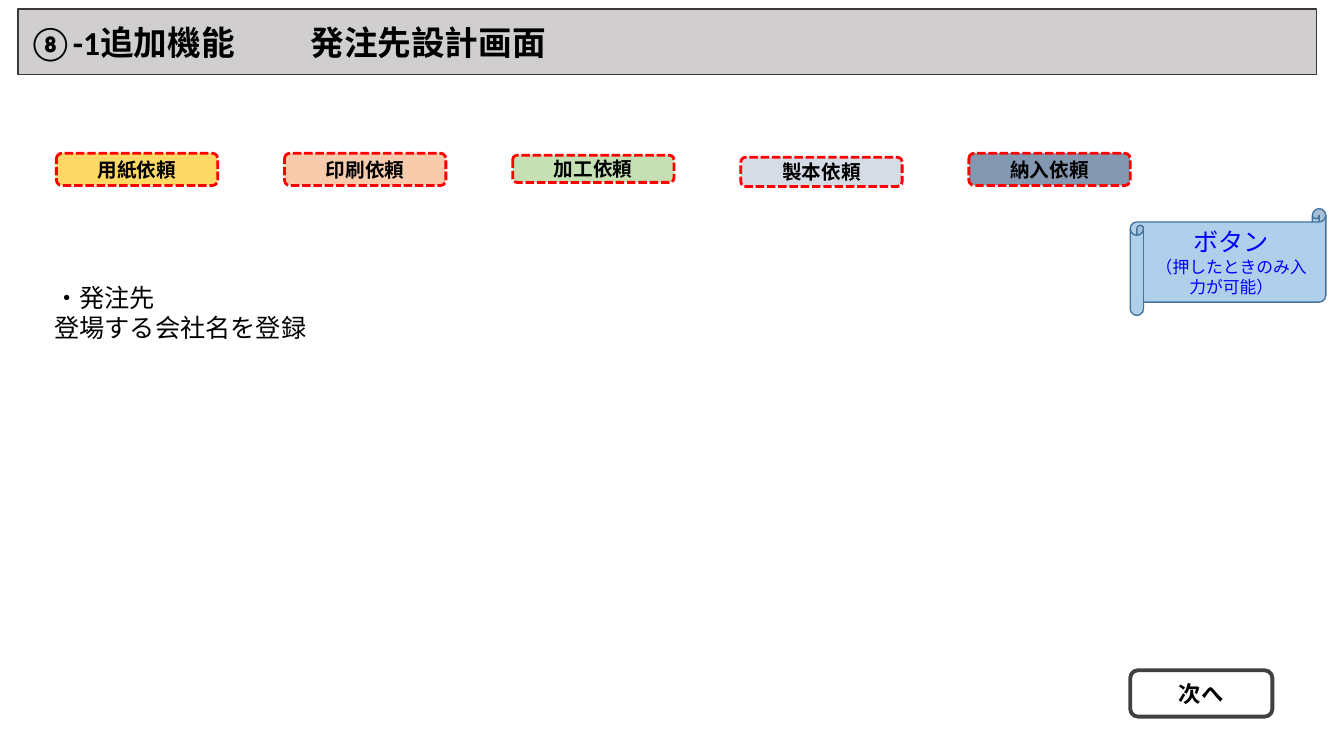
from lxml import etree
from pptx import Presentation
from pptx.dml.color import RGBColor
from pptx.enum.dml import MSO_LINE
from pptx.enum.shapes import MSO_SHAPE
from pptx.enum.text import MSO_ANCHOR, MSO_AUTO_SIZE, PP_ALIGN
from pptx.oxml.ns import qn
from pptx.util import Pt

ROUNDED = MSO_SHAPE.ROUNDED_RECTANGLE
SCROLL = MSO_SHAPE.HORIZONTAL_SCROLL
DASH = MSO_LINE.SQUARE_DOT
MIDDLE, TOP = MSO_ANCHOR.MIDDLE, MSO_ANCHOR.TOP
LEFT, CENTER = PP_ALIGN.LEFT, PP_ALIGN.CENTER
NO_FIT = MSO_AUTO_SIZE.NONE

EMU_PER_PX = 9144
FONT = "Calibri"
COLORS = {
    "black": "000000", "white": "FFFFFF", "red": "FF0000", "blue": "0000FF",
    "banner": "D0CECE", "banner_edge": "3B3838", "next_edge": "404040",
    "paper": "FFD966", "print": "F8CBAD", "process": "C5E0B4",
    "binding": "D6DCE5", "delivery": "8497B0",
    "scroll": "5B9BD5", "scroll_edge": "43739E",
}

TITLE = "⑧-1追加機能\t発注先設計画面"
TITLE_BOX = (18, 9, 1288, 65)
TITLE_TAB = 280
REQUESTS = [
    ("用紙依頼", "paper", 152, 32),
    ("印刷依頼", "print", 152, 32),
    ("加工依頼", "process", 154, 27),
    ("製本依頼", "binding", 156, 29),
    ("納入依頼", "delivery", 152, 32),
]
REQUEST_LEFT, REQUEST_RIGHT, REQUEST_WIDTH = 56, 1121, 160
NEXT_BOX = (1121, 665, 141, 46)
NOTE_BOX = (44, 275, 318, 94)
NOTE_LINES = [("・発注先", 18), ("登場する会社名を登録", 18)]
SCROLL_BOX = (1121, 207, 194, 106)
SCROLL_LINES = [("ボタン", 18), ("（押したときのみ入力が可能）", 12)]
SCROLL_ALPHA = 48


def px(value):
    return round(value * EMU_PER_PX)


def color(name):
    return RGBColor.from_string(COLORS[name])


def paint(shape, fill, edge, width, dash=None):
    shape.fill.solid()
    shape.fill.fore_color.rgb = color(fill)
    shape.line.color.rgb = color(edge)
    shape.line.width = Pt(width)
    if dash:
        shape.line.dash_style = dash


def write(shape, lines, align, anchor, bold=False, ink="black"):
    frame = shape.text_frame
    frame.word_wrap = True
    frame.auto_size = NO_FIT
    frame.vertical_anchor = anchor
    for index, (text, size) in enumerate(lines):
        para = frame.add_paragraph() if index else frame.paragraphs[0]
        para.alignment = align
        span = para.add_run()
        span.text = text
        span.font.name = FONT
        span.font.size = Pt(size)
        span.font.bold = bold
        span.font.color.rgb = color(ink)


def add_panel(page, kind, box, fill, edge, width, dash=None):
    panel = page.shapes.add_shape(kind, *map(px, box))
    panel.shadow.inherit = False
    paint(panel, fill, edge, width, dash)
    return panel


def add_title(page):
    title = page.shapes.title
    title.left, title.top, title.width, title.height = map(px, TITLE_BOX)
    paint(title, "banner", "banner_edge", 1)
    write(title, [(TITLE, 24)], LEFT, MIDDLE, bold=True)
    properties = title.text_frame.paragraphs[0]._p.get_or_add_pPr()
    tabs = etree.SubElement(properties, qn("a:tabLst"))
    etree.SubElement(tabs, qn("a:tab"), pos=str(px(TITLE_TAB)), algn="l")


def add_requests(page):
    pitch = (REQUEST_RIGHT - REQUEST_WIDTH - REQUEST_LEFT) / (len(REQUESTS) - 1)
    for index, (label, fill, top, height) in enumerate(REQUESTS):
        box = (REQUEST_LEFT + index * pitch, top, REQUEST_WIDTH, height)
        button = add_panel(page, ROUNDED, box, fill, "red", 2, DASH)
        write(button, [(label, 14)], CENTER, MIDDLE, bold=True)


def add_scroll(page):
    scroll = add_panel(page, SCROLL, SCROLL_BOX, "scroll", "scroll_edge", 1)
    tint = scroll._element.spPr.find(qn("a:solidFill"))[0]
    etree.SubElement(tint, qn("a:alpha"), val=str(SCROLL_ALPHA * 1000))
    write(scroll, SCROLL_LINES, CENTER, MIDDLE, ink="blue")


def main():
    deck = Presentation()
    deck.slide_width, deck.slide_height = px(1333), px(750)
    page = deck.slides.add_slide(deck.slide_layouts.get_by_name("Title Only"))
    add_title(page)
    add_requests(page)
    next_button = add_panel(page, ROUNDED, NEXT_BOX, "white", "next_edge", 2.75)
    write(next_button, [("次へ", 16)], CENTER, MIDDLE, bold=True)
    note = page.shapes.add_textbox(*map(px, NOTE_BOX))
    write(note, NOTE_LINES, LEFT, TOP)
    add_scroll(page)
    deck.save("out.pptx")


if __name__ == "__main__":
    main()
